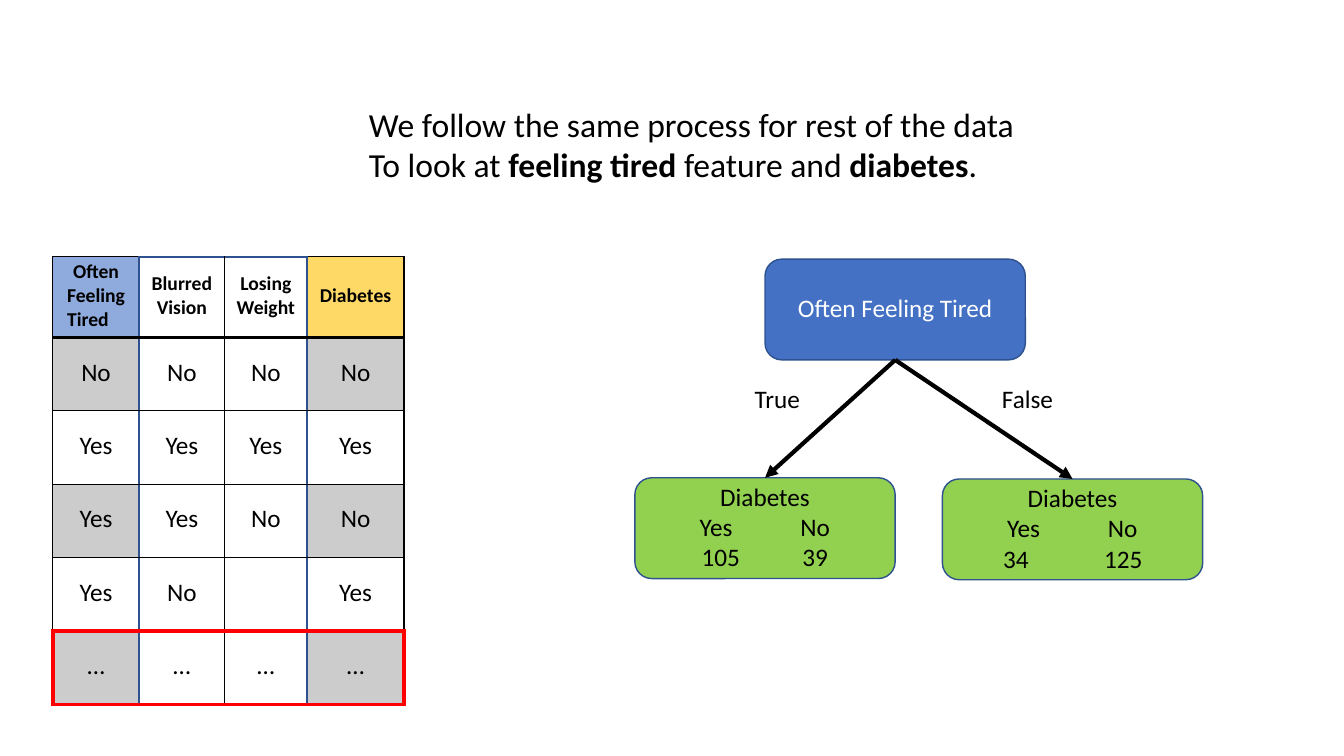
from lxml import etree
from pptx import Presentation
from pptx.dml.color import RGBColor
from pptx.enum.shapes import MSO_CONNECTOR, MSO_SHAPE
from pptx.enum.text import MSO_ANCHOR, PP_ALIGN
from pptx.oxml.ns import qn
from pptx.util import Cm, Pt

ROUNDED, RECTANGLE = MSO_SHAPE.ROUNDED_RECTANGLE, MSO_SHAPE.RECTANGLE
STRAIGHT = MSO_CONNECTOR.STRAIGHT
TOP, MIDDLE = MSO_ANCHOR.TOP, MSO_ANCHOR.MIDDLE
LEFT, CENTER = PP_ALIGN.LEFT, PP_ALIGN.CENTER
FONT = "Calibri"
BLACK, WHITE, NAVY, RED = "000000", "FFFFFF", "2E528F", "FF0000"
BLUE, GREEN, GREY = "4471C4", "92D050", "CCCCCC"

INTRO = [
    [("We follow the same process for rest of the data", False)],
    [("To look at ", False), ("feeling tired", True), (" feature and ", False),
     ("diabetes", True), (".", False)],
]
ROWS = [
    ["Often Feeling Tired", "Blurred Vision", "Losing Weight", "Diabetes"],
    ["No", "No", "No", "No"],
    ["Yes", "Yes", "Yes", "Yes"],
    ["Yes", "Yes", "No", "No"],
    ["Yes", "No", "", "Yes"],
    ["…", "…", "…", "…"],
]
TABLE_X, TABLE_Y = 1.33, 6.47
COL_WIDTHS = [2.18, 2.15, 2.08, 2.44]
ROW_HEIGHTS = [2.03] + [1.85] * 5
HEADER_FILLS = {0: "8FAADC", 3: "FFD966"}
COL_LINES = [(BLACK, 1), (NAVY, 1.5), (BLACK, 1), (NAVY, 2.25), (BLACK, 1)]
ROW_LINES = [(BLACK, 1), (BLACK, 2.25)] + [(BLACK, 1)] * 3 + [(RED, 3)] * 2
PANEL = (3.56, 6.52, 4.22, 11.3)

BOX_W, BOX_H = 6.56, 2.54
ROOT = ("Often Feeling Tired", 19.28, 6.53)
LEAVES = [
    (16.0, 12.04, ("105", "39"), 0.05),
    (23.75, 12.07, ("34", "125"), -0.1),
]
BRANCH_LABELS = [("True", 19.02), ("False", 25.25)]
LABEL_Y = 9.66
COUNT_X, COUNT_GAP = 1.51, 2.54


def rgb(code):
    return RGBColor.from_string(code)


def style(p, size, color=BLACK, bold=False, align=LEFT):
    p.alignment = align
    for font in [p.font] + [r.font for r in p.runs]:
        font.name, font.size = FONT, Pt(size)
        font.color.rgb = rgb(color)
        if bold:
            font.bold = True


def clear_margins(tf, anchor=TOP):
    tf.margin_left = tf.margin_right = tf.margin_top = tf.margin_bottom = 0
    tf.vertical_anchor = anchor
    tf.word_wrap = True


def add_text(s, x, y, w, h):
    tf = s.shapes.add_textbox(Cm(x), Cm(y), Cm(w), Cm(h)).text_frame
    clear_margins(tf)
    return tf


def add_filled(s, kind, x, y, w, h, fill):
    sp = s.shapes.add_shape(kind, Cm(x), Cm(y), Cm(w), Cm(h))
    sp.shadow.inherit = False
    sp.fill.solid()
    sp.fill.fore_color.rgb = rgb(fill)
    return sp


def add_box(s, x, y, fill, text):
    sp = add_filled(s, ROUNDED, x, y, BOX_W, BOX_H, fill)
    sp.line.color.rgb = rgb(NAVY)
    sp.line.width = Pt(1)
    clear_margins(sp.text_frame, MIDDLE)
    sp.text_frame.margin_bottom = Cm(0.08)
    sp.text_frame.text = text
    return sp


def add_tabs(p, stops):
    tabs = etree.SubElement(p._p.get_or_add_pPr(), qn("a:tabLst"))
    for stop in stops:
        etree.SubElement(tabs, qn("a:tab"), pos=str(Cm(stop)), algn="l")


def add_leaf(s, x, y, counts, shift):
    lines = ["Diabetes", "\tYes\tNo", "\t" + "\t".join(counts)]
    sp = add_box(s, x, y, GREEN, "\n".join(lines))
    heading, answers, numbers = sp.text_frame.paragraphs
    style(heading, 18, align=CENTER)
    for p, start in ((answers, COUNT_X), (numbers, COUNT_X + shift)):
        add_tabs(p, [start, start + COUNT_GAP])
        style(p, 18)
    return sp


def add_arrow(s, start, end):
    c = s.shapes.add_connector(STRAIGHT, 0, 0, 0, 0)
    c.begin_connect(start, 2)
    c.end_connect(end, 0)
    c.line.color.rgb = rgb(BLACK)
    c.line.width = Pt(3)
    etree.SubElement(c.line._get_or_add_ln(), qn("a:tailEnd"), type="triangle", w="med", len="med")
    etree.SubElement(c._element.spPr, qn("a:effectLst"))


def set_borders(cell, borders):
    tcPr = cell._tc.get_or_add_tcPr()
    for side, (color, width) in zip("LRTB", borders):
        ln = etree.SubElement(tcPr, qn("a:ln" + side), w=str(Pt(width)))
        fill = etree.SubElement(ln, qn("a:solidFill"))
        etree.SubElement(fill, qn("a:srgbClr"), val=color)


def col_line(row, edge):
    outer = edge in (0, len(COL_WIDTHS))
    return (RED, 3) if outer and row == len(ROWS) - 1 else COL_LINES[edge]


def row_line(edge, col):
    return (NAVY, 1.5) if edge == 0 and col in (1, 2) else ROW_LINES[edge]


def cell_fill(row, col):
    if row == 0:
        return HEADER_FILLS.get(col)
    return GREY if row % 2 and col in (0, 3) else None


def add_data_table(s):
    frame = s.shapes.add_table(len(ROWS), len(COL_WIDTHS), Cm(TABLE_X), Cm(TABLE_Y),
                               Cm(sum(COL_WIDTHS)), Cm(sum(ROW_HEIGHTS)))
    table = frame.table
    table.first_row = table.horz_banding = False
    for col, width in zip(table.columns, COL_WIDTHS):
        col.width = Cm(width)
    for i, height in enumerate(ROW_HEIGHTS):
        table.rows[i].height = Cm(height)
        for j, text in enumerate(ROWS[i]):
            cell = table.cell(i, j)
            cell.margin_left = cell.margin_right = cell.margin_top = 0
            cell.margin_bottom = Cm(0.08)
            cell.vertical_anchor = MIDDLE
            set_borders(cell, [col_line(i, j), col_line(i, j + 1),
                               row_line(i, j), row_line(i + 1, j)])
            fill = cell_fill(i, j)
            if fill:
                cell.fill.solid()
                cell.fill.fore_color.rgb = rgb(fill)
            else:
                cell.fill.background()
            cell.text_frame.text = text
            style(cell.text_frame.paragraphs[0], 18 if i else 14, bold=i == 0, align=CENTER)
    first = table.cell(0, 0).text_frame.paragraphs[0]
    first.alignment = LEFT
    pPr = first._p.get_or_add_pPr()
    pPr.set("marL", str(Cm(0.36)))
    pPr.set("indent", str(Cm(0.15)))


def main():
    prs = Presentation()
    prs.slide_width, prs.slide_height = Cm(33.87), Cm(19.05)
    s = prs.slides.add_slide(prs.slide_layouts[6])

    tf = add_text(s, 9.3, 2.62, 17, 2.1)
    for i, parts in enumerate(INTRO):
        p = tf.add_paragraph() if i else tf.paragraphs[0]
        for text, bold in parts:
            r = p.add_run()
            r.text = text
            r.font.bold = bold
        style(p, 24)

    panel = add_filled(s, RECTANGLE, *PANEL, WHITE)
    panel.line.fill.background()
    add_data_table(s)

    title, x, y = ROOT
    root = add_box(s, x, y, BLUE, title)
    root.text_frame.margin_bottom = Cm(0.12)
    style(root.text_frame.paragraphs[0], 18, WHITE, align=CENTER)
    for leaf in LEAVES:
        add_arrow(s, root, add_leaf(s, *leaf))
    for text, x in BRANCH_LABELS:
        tf = add_text(s, x, LABEL_Y, 1.5, 0.84)
        tf.text = text
        style(tf.paragraphs[0], 18)

    prs.save("out.pptx")


if __name__ == "__main__":
    main()
